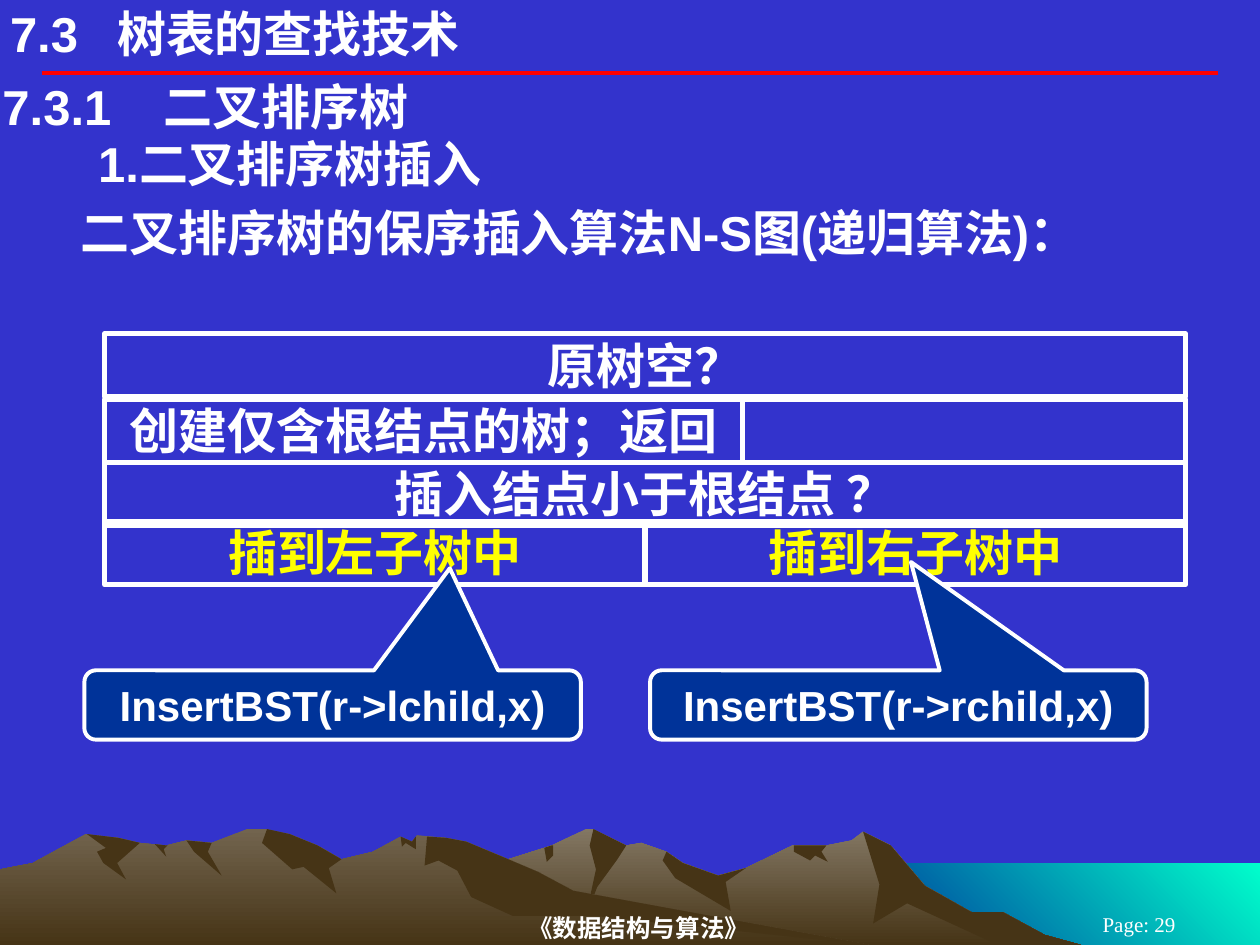
"""Builds a lecture slide with an N-S diagram of insertion into a binary search tree."""
from lxml import etree
from pptx import Presentation
from pptx.dml.color import RGBColor
from pptx.enum.shapes import MSO_CONNECTOR, MSO_SHAPE
from pptx.enum.text import MSO_ANCHOR, PP_ALIGN
from pptx.oxml.ns import qn
from pptx.util import Inches, Pt

TOP, MIDDLE = MSO_ANCHOR.TOP, MSO_ANCHOR.MIDDLE
LEFT, CENTER = PP_ALIGN.LEFT, PP_ALIGN.CENTER
RECTANGLE, CALLOUT = MSO_SHAPE.RECTANGLE, MSO_SHAPE.ROUNDED_RECTANGULAR_CALLOUT
STRAIGHT = MSO_CONNECTOR.STRAIGHT

COLORS = {
    "page": "3333CC", "white": "FFFFFF", "yellow": "FFFF00", "rule": "FF0000",
    "callout": "003399", "sea_light": "00FFCC", "sea_dark": "003399",
    "rock_far": "837763", "rock_near": "72644E", "shade": "463416",
}
WIDTH, HEIGHT = 10, 7.5
TIGHT = (0.02, 0.01, 0.02, 0.01)
ROOMY = (0.1, 0.05, 0.1, 0.05)

HEADINGS = [
    ("二叉排序树的保序插入算法N-S图(递归算法)：", (0, 1.6, 10, 0.49), TIGHT, 0.62, None),
    ("7.3\t树表的查找技术", (0.08, 0.03, 6.5, 0.47), (0, 0, 0, 0), 0, 0.85),
    ("7.3.1\t二叉排序树", (0, 0.6, 10, 0.49), TIGHT, 0, 1.28),
    ("1.二叉排序树插入", (0, 1.05, 9.96, 0.49), TIGHT, 0.76, None),
]
FOOTERS = [
    ("《数据结构与算法》", (2.08, 7.22, 6.06, 0.28), (0, 0.01, 0.08, 0.01), 14, True),
    ("Page: 29", (8.25, 7.25, 1.58, 0.17), ROOMY, 12, False),
]
RULE_MARGIN, RULE_TOP = 0.33, 0.58

DIAGRAM_LEFT, DIAGRAM_WIDTH, ROW_HEIGHT = 0.83, 8.58, 0.5
DIAGRAM = [
    {"top": 2.65, "color": "white", "cells": ["原树空？"], "split": 1},
    {"top": 3.17, "color": "white", "cells": ["创建仅含根结点的树；返回", ""], "split": 0.59},
    {"top": 3.67, "color": "white", "cells": ["插入结点小于根结点 ？"], "split": 1},
    {"top": 4.14, "color": "yellow", "cells": ["插到左子树中", "插到右子树中"], "split": 0.5},
]
CALLOUT_TOP, CALLOUT_WIDTH, CALLOUT_HEIGHT = 5.32, 3.94, 0.55
CALLOUTS = [
    {"text": "InsertBST(r->lchild,x)", "left": 0.67, "points_at": (3.57, 4.51)},
    {"text": "InsertBST(r->rchild,x)", "left": 5.16, "points_at": (7.23, 4.46)},
]

SEA = (6.83, 6.85, 3.17, 0.65)
SCALE = 100
RIDGES = [
    {"rock": "rock_far",
     "crest": [(258, 750), (277, 739), (327, 709), (394, 685), (438, 671), (465, 658),
               (471, 658), (497, 671), (509, 669), (529, 676), (542, 685), (570, 695),
               (592, 689), (629, 671), (656, 671), (676, 667), (685, 660), (707, 671),
               (734, 703), (771, 724), (796, 724), (829, 742), (858, 750)],
     "shadows": [
         (685, 858, [(792, 750), (720, 717), (693, 733), (698, 702)]),
         (471, 497, [(490, 682), (474, 704), (465, 727), (473, 690), (468, 671)]),
         (529, 592, [(576, 700), (580, 723), (536, 697), (526, 683)]),
         (630, 656, [(652, 676), (657, 684), (647, 679), (643, 683), (630, 676)]),
         (432, 439, [(439, 679), (434, 684)])]},
    {"rock": "rock_near",
     "crest": [(0, 690), (26, 685), (46, 674), (68, 662), (94, 665), (111, 669),
               (132, 671), (148, 667), (168, 669), (196, 658), (212, 658), (230, 662),
               (252, 671), (271, 682), (296, 676), (318, 664), (327, 668), (331, 663),
               (354, 665), (370, 668), (401, 681), (427, 692), (455, 707), (690, 750)],
     "shadows": [
         (212, 271, [(261, 689), (267, 709), (241, 688), (232, 690), (208, 669)]),
         (339, 690, [(472, 727), (407, 727), (374, 712), (363, 691), (348, 683), (337, 687)]),
         (318, 330, [(330, 674), (322, 669), (319, 672)]),
         (148, 168, [(165, 676), (176, 695), (154, 676)]),
         (123, 133, [(130, 674), (132, 680)]),
         (69, 111, [(93, 685), (100, 698), (82, 685), (77, 676), (84, 673)])]},
]


def rgb(name):
    return RGBColor.from_string(COLORS[name])


def paint(shape, *colors, angle=90):
    """Fills with one colour, or with a gradient at a clockwise angle."""
    shape.shadow.inherit = False
    if not colors:
        shape.fill.background()
    elif len(colors) == 1:
        shape.fill.solid()
        shape.fill.fore_color.rgb = rgb(colors[0])
    else:
        shape.fill.gradient()
        shape.fill.gradient_angle = 360 - angle
        for stop, color in zip(shape.fill.gradient_stops, colors):
            stop.color.rgb = rgb(color)


def outline(shape, weight):
    shape.line.color.rgb = rgb("white")
    shape.line.width = Pt(weight)


def write(shape, text, size, color="white", font="Arial", bold=True, insets=TIGHT,
          anchor=TOP, align=LEFT, indent=0, tab=None):
    frame = shape.text_frame
    frame.word_wrap = True
    frame.vertical_anchor = anchor
    (frame.margin_left, frame.margin_top,
     frame.margin_right, frame.margin_bottom) = map(Inches, insets)
    para = frame.paragraphs[0]
    para.alignment = align
    properties = para._p.get_or_add_pPr()
    if indent:
        properties.set("marL", str(Inches(indent)))
        properties.set("indent", "0")
    if tab:
        stops = etree.SubElement(properties, qn("a:tabLst"))
        etree.SubElement(stops, qn("a:tab"), pos=str(Inches(tab)), algn="l")
    span = para.add_run()
    span.text = text
    span.font.size, span.font.bold, span.font.name = Pt(size), bold, font
    span.font.color.rgb = rgb(color)


def add_polygon(page, points, *colors):
    builder = page.shapes.build_freeform(*points[0], scale=Inches(1) / SCALE)
    builder.add_line_segments(points[1:], close=True)
    polygon = builder.convert_to_shape()
    paint(polygon, *colors)
    polygon.line.fill.background()


def crest_height(crest, x):
    """Returns the crest's y at x, on the straight piece that spans it."""
    for (x1, y1), (x2, y2) in zip(crest, crest[1:]):
        if x1 <= x <= x2:
            return y1 + (y2 - y1) * (x - x1) / (x2 - x1)


def crest_between(crest, start, end):
    inner = [point for point in crest if start < point[0] < end]
    return [(start, crest_height(crest, start)), *inner, (end, crest_height(crest, end))]


def add_scenery(page):
    """Draws the sea, then each ridge down to the slide's foot with shadows hung on its crest."""
    sea = page.shapes.add_shape(RECTANGLE, *map(Inches, SEA))
    paint(sea, "sea_light", "sea_dark", angle=135)
    sea.line.fill.background()
    foot = HEIGHT * SCALE
    for ridge in RIDGES:
        crest = ridge["crest"]
        base = [(crest[-1][0], foot), (crest[0][0], foot)]
        add_polygon(page, crest + base, ridge["rock"], "shade")
        for start, end, lower_edge in ridge["shadows"]:
            add_polygon(page, crest_between(crest, start, end) + lower_edge, "shade")


def add_rule(page):
    ends = (RULE_MARGIN, RULE_TOP, WIDTH - RULE_MARGIN, RULE_TOP)
    rule = page.shapes.add_connector(STRAIGHT, *map(Inches, ends))
    rule.line.color.rgb = rgb("rule")
    rule.line.width = Pt(2.25)
    etree.SubElement(rule._element.spPr, qn("a:effectLst"))


def add_diagram(page):
    for row in DIAGRAM:
        left = DIAGRAM_LEFT
        for text, share in zip(row["cells"], (row["split"], 1 - row["split"])):
            width = DIAGRAM_WIDTH * share
            place = (left, row["top"], width, ROW_HEIGHT)
            cell = page.shapes.add_shape(RECTANGLE, *map(Inches, place))
            paint(cell)
            outline(cell, 3)
            if text:
                write(cell, text, 28, row["color"], align=CENTER)
            left += width


def add_callouts(page):
    """Adds the callouts; a tip is set as its distance from the centre in widths and heights."""
    for item in CALLOUTS:
        place = (item["left"], CALLOUT_TOP, CALLOUT_WIDTH, CALLOUT_HEIGHT)
        box = page.shapes.add_shape(CALLOUT, *map(Inches, place))
        paint(box, "callout")
        outline(box, 2.25)
        tip_x, tip_y = item["points_at"]
        box.adjustments[0] = (tip_x - item["left"]) / CALLOUT_WIDTH - 0.5
        box.adjustments[1] = (tip_y - CALLOUT_TOP) / CALLOUT_HEIGHT - 0.5
        write(box, item["text"], 24, insets=ROOMY, anchor=MIDDLE, align=CENTER)


def main():
    deck = Presentation()
    deck.slide_width, deck.slide_height = Inches(WIDTH), Inches(HEIGHT)
    page = deck.slides.add_slide(deck.slide_layouts[6])
    paint_page = page.background.fill
    paint_page.solid()
    paint_page.fore_color.rgb = rgb("page")
    add_scenery(page)
    add_rule(page)
    for text, place, insets, size, bold in FOOTERS:
        box = page.shapes.add_textbox(*map(Inches, place))
        write(box, text, size, font="Times New Roman", bold=bold, insets=insets,
              anchor=MIDDLE, align=CENTER)
    add_diagram(page)
    add_callouts(page)
    for text, place, insets, indent, tab in HEADINGS:
        box = page.shapes.add_textbox(*map(Inches, place))
        write(box, text, 28, insets=insets, indent=indent, tab=tab)
    deck.save("out.pptx")


if __name__ == "__main__":
    main()
